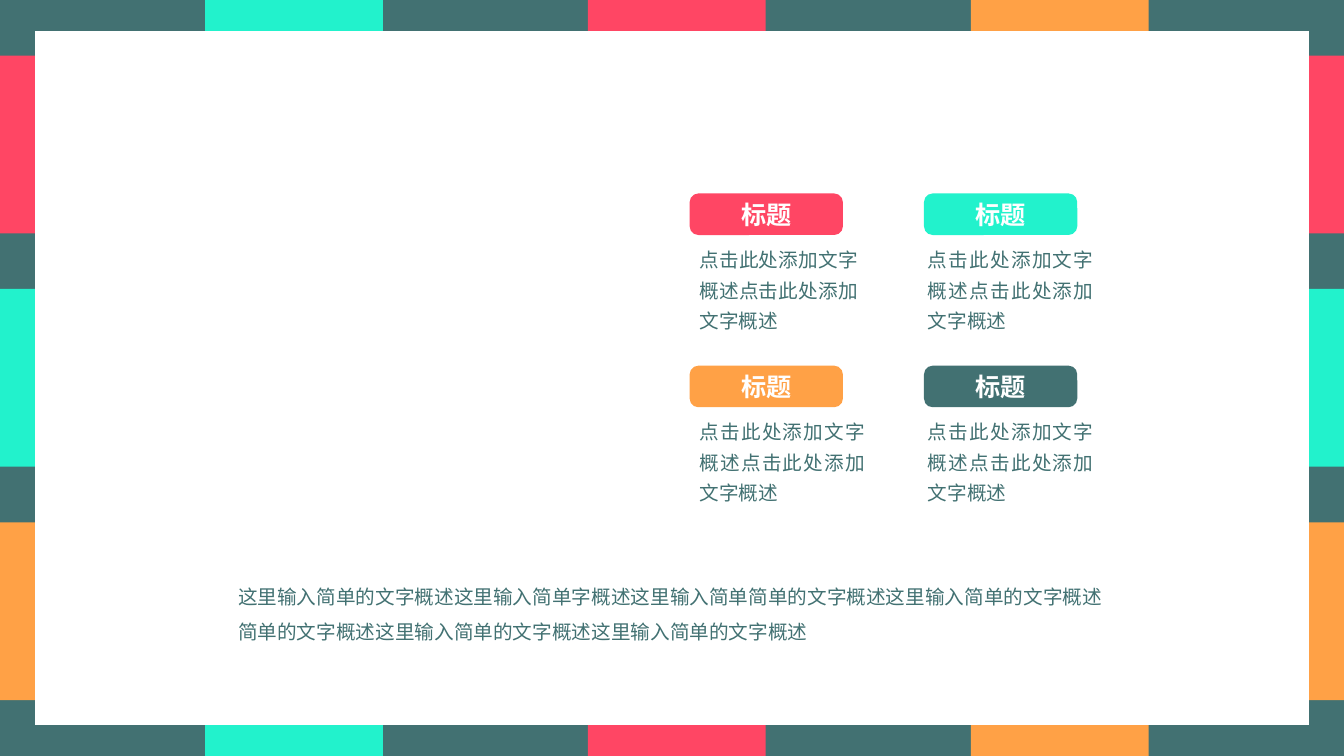
from lxml import etree
from pptx import Presentation
from pptx.dml.color import RGBColor
from pptx.enum.shapes import MSO_SHAPE
from pptx.enum.text import MSO_ANCHOR, MSO_AUTO_SIZE, PP_ALIGN
from pptx.oxml.ns import qn
from pptx.util import Pt

RECTANGLE = MSO_SHAPE.RECTANGLE
ROUNDED = MSO_SHAPE.ROUNDED_RECTANGLE
MIDDLE = MSO_ANCHOR.MIDDLE
FIT_TEXT = MSO_AUTO_SIZE.SHAPE_TO_FIT_TEXT
LEFT, CENTER, JUSTIFY = PP_ALIGN.LEFT, PP_ALIGN.CENTER, PP_ALIGN.JUSTIFY

SLATE = RGBColor(0x42, 0x71, 0x72)
MINT = RGBColor(0x22, 0xF2, 0xCC)
PINK = RGBColor(0xFF, 0x46, 0x64)
ORANGE = RGBColor(0xFF, 0xA1, 0x46)
WHITE = RGBColor(0xFF, 0xFF, 0xFF)

FONT = "Noto Sans CJK SC"
WIDTH, HEIGHT = 960, 540

CARD_TITLE = "标题"
CARD_BODY = "点击此处添加文字概述点击此处添加文字概述"
SUMMARY = ("这里输入简单的文字概述这里输入简单字概述这里输入简单简单的文字概述"
           "这里输入简单的文字概述简单的文字概述这里输入简单的文字概述"
           "这里输入简单的文字概述")


def add_block(slide, left, top, width, height, color, kind=RECTANGLE):
    shape = slide.shapes.add_shape(kind, Pt(left), Pt(top), Pt(width), Pt(height))
    shape.shadow.inherit = False
    shape.fill.solid()
    shape.fill.fore_color.rgb = color
    shape.line.fill.background()
    return shape


def write(text_frame, text, size, color, alignment, bold=False):
    text_frame.word_wrap = True
    text_frame.text = text
    paragraph = text_frame.paragraphs[0]
    paragraph.alignment = alignment
    run = paragraph.runs[0]
    run.font.size = Pt(size)
    run.font.bold = bold
    run.font.color.rgb = color
    run.font.name = FONT
    # East Asian typeface
    etree.SubElement(run._r.get_or_add_rPr(), qn("a:ea")).set("typeface", FONT)
    return paragraph


def add_text(slide, left, top, width, height, text, alignment, spacing):
    box = slide.shapes.add_textbox(Pt(left), Pt(top), Pt(width), Pt(height))
    paragraph = write(box.text_frame, text, 14, SLATE, alignment)
    paragraph.line_spacing = spacing
    box.text_frame.auto_size = FIT_TEXT


def add_frame(slide, left, top, width, height):
    """Striped border around a white panel."""
    stripe = 127
    add_block(slide, left, top, width, height, SLATE)
    # Horizontal bands, showing at the left and right edges
    for index, color in enumerate((PINK, MINT, ORANGE)):
        add_block(slide, left, top + 39.7 + index * 166.7, width, stripe, color)
    # Vertical bands, showing at the top and bottom edges
    for index, color in enumerate((MINT, PINK, ORANGE)):
        add_block(slide, left + 146.5 + index * 273.5, top, stripe, height, color)
    # White panel
    side, edge = 25, 22.2
    add_block(slide, left + side, top + edge, width - 2 * side, height - 2 * edge, WHITE)


def add_card(slide, left, top, width, height, color, body_shift, body_width):
    """Coloured label with a short description below it."""
    label_height = 29.7
    label = add_block(slide, left, top, width, label_height, color, ROUNDED)
    label.adjustments[0] = 0.21
    label.text_frame.vertical_anchor = MIDDLE
    write(label.text_frame, CARD_TITLE, 18, WHITE, CENTER, bold=True)
    add_text(slide, left + body_shift, top + 30.3, body_width, height - 30.3,
             CARD_BODY, JUSTIFY, 1.3)


def add_card_grid(slide, left, top, column_step, row_step):
    cards = (
        (PINK, 0, 127.4),
        (MINT, -4.3, 132.5),
        (ORANGE, 0, 132.5),
        (SLATE, -4.3, 132.5),
    )
    for index, (color, body_shift, body_width) in enumerate(cards):
        row, column = divmod(index, 2)
        add_card(slide, left + column * column_step, top + row * row_step,
                 109.5, 103.7, color, body_shift, body_width)


def main():
    presentation = Presentation()
    presentation.slide_width, presentation.slide_height = Pt(WIDTH), Pt(HEIGHT)
    slide = presentation.slides.add_slide(presentation.slide_layouts[6])

    add_frame(slide, 0, 0, WIDTH, HEIGHT)
    add_card_grid(slide, 492.6, 138.2, 167.4, 123)
    # Summary below the cards
    add_text(slide, 163, 406, 633.6, 55.4, SUMMARY, LEFT, 1.5)

    presentation.save("out.pptx")


if __name__ == "__main__":
    main()
